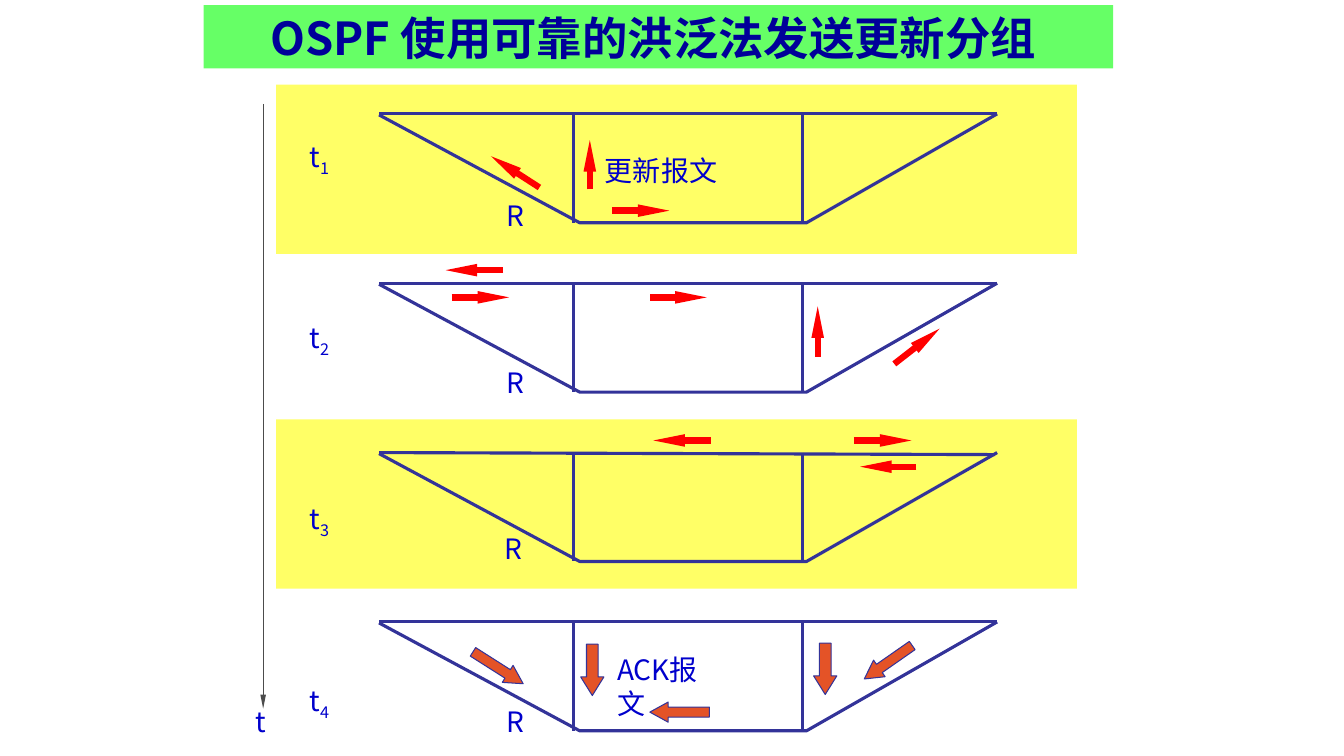
from lxml.etree import SubElement
from pptx import Presentation
from pptx.dml.color import RGBColor
from pptx.enum.shapes import MSO_CONNECTOR, MSO_SHAPE
from pptx.enum.text import MSO_ANCHOR, PP_ALIGN
from pptx.oxml.ns import qn
from pptx.util import Inches, Pt

COLORS = {"title": "000099", "title_band": "66FF66", "band": "FFFF66",
          "label": "0000CC", "link": "333399", "update": "FF0000",
          "ack": "E45327", "time": "4C4C4C"}
COLORS = {part: RGBColor.from_string(value) for part, value in COLORS.items()}
FONT = "Noto Sans CJK SC"

# Four network stages, one under another
FIRST_ROW, ROW_STEP, NET_HEIGHT = 1.13, 1.68, 1.08
LEFT, RIGHT = 3.76, 9.89
INNER_COLUMNS = (5.69, 7.96)

deck = Presentation()
deck.slide_width, deck.slide_height = Inches(13.33), Inches(7.5)
slide = deck.slides.add_slide(deck.slide_layouts[6])
shapes = slide.shapes


def add_text(text, x, y, width=0.4, height=0.34, size=20, color="label", bold=False,
             align=PP_ALIGN.LEFT, leading=1.22, wrap=False, sub="", fill=None):
    box = shapes.add_textbox(Inches(x), Inches(y), Inches(width), Inches(height))
    if fill:
        box.fill.solid()
        box.fill.fore_color.rgb = COLORS[fill]
    frame = box.text_frame
    frame.margin_left = frame.margin_right = frame.margin_top = frame.margin_bottom = 0
    frame.word_wrap = wrap
    frame.vertical_anchor = MSO_ANCHOR.MIDDLE if fill else MSO_ANCHOR.TOP
    paragraph = frame.paragraphs[0]
    paragraph.alignment = align
    paragraph.line_spacing = Pt(size * leading)
    for part in filter(None, (text, sub)):
        run = paragraph.add_run()
        run.text = part
        run.font.size, run.font.bold, run.font.name = Pt(size), bold, FONT
        run.font.color.rgb = COLORS[color]
        properties = run._r.get_or_add_rPr()
        SubElement(properties, qn("a:ea"), typeface=FONT)
        if part == sub:
            properties.set("baseline", "-25000")


def add_line(start, end, color="link", width=2.25, arrow=False):
    line = shapes.add_connector(MSO_CONNECTOR.STRAIGHT,
                                *(Inches(value) for value in (*start, *end)))
    line.line.color.rgb = COLORS[color]
    line.line.width = Pt(width)
    if arrow:
        SubElement(line.line._get_or_add_ln(), qn("a:tailEnd"),
                   type="triangle", w="sm", len="lg")
    SubElement(line._element.spPr, qn("a:effectLst"))


# Title
add_text("OSPF 使用可靠的洪泛法发送更新分组 ", 2.02, 0.05, width=9.02, height=0.63,
         size=32.4, color="title", bold=True, align=PP_ALIGN.CENTER,
         wrap=True, fill="title_band")

# Bands behind the first and third stages
for band_top in (0.84, 4.16):
    band = shapes.add_shape(MSO_SHAPE.RECTANGLE, Inches(2.74), Inches(band_top),
                            Inches(7.94), Inches(1.68))
    band.shadow.inherit = False
    band.fill.solid()
    band.fill.fore_color.rgb = COLORS["band"]
    band.line.fill.background()

# Networks with their router and time labels
router_spots = ((5.02, 1.96), (5.02, 3.62), (5, 5.27), (5.02, 6.98))
for stage, router_spot in enumerate(router_spots):
    top = FIRST_ROW + stage * ROW_STEP
    bottom = top + NET_HEIGHT
    top_end = (9.87, top + 0.02) if stage == 2 else (RIGHT, top)
    add_line((LEFT, top), top_end)
    corners = [(Inches(x), Inches(y)) for x, y in
               ((LEFT, top + 0.01), (5.75, bottom), (8, bottom), (RIGHT, top))]
    outline = shapes.build_freeform(*corners[0])
    outline.add_line_segments(corners[1:], close=False)
    hull = outline.convert_to_shape()
    hull.shadow.inherit = False
    hull.fill.background()
    hull.line.color.rgb = COLORS["link"]
    hull.line.width = Pt(2.25)
    for column in INNER_COLUMNS:
        add_line((column, top), (column, bottom))
    add_text("R", *router_spot)
    add_text("t", 3.07, 1.42 + stage * 1.8, sub=str(stage + 1))

# Update packets
updates = [
    ((6.07, 2.09), (6.64, 2.09)), ((5.35, 1.86), (4.87, 1.55)),
    ((5.85, 1.88), (5.85, 1.39)),
    ((8.87, 3.61), (9.32, 3.26)), ((8.11, 3.54), (8.11, 3.04)),
    ((4.99, 2.68), (4.42, 2.68)), ((6.45, 2.95), (7.01, 2.95)),
    ((4.48, 2.95), (5.05, 2.95)),
    ((7.05, 4.37), (6.48, 4.37)), ((8.47, 4.37), (9.04, 4.37)),
    ((9.09, 4.63), (8.53, 4.63)),
]
for sender, receiver in updates:
    add_line(sender, receiver, color="update", width=4.5, arrow=True)
add_text("更新报文", 6, 1.52, width=1.12)

# Acknowledgements: left, top, width, height, rotation, head share
acks = [
    (5.76, 6.39, 0.23, 0.51, 0, 0.8), (8.07, 6.38, 0.23, 0.51, 0, 0.8),
    (6.64, 6.77, 0.2, 0.59, 90, 0.91), (8.71, 6.28, 0.2, 0.58, 55.1, 0.91),
    (4.84, 6.33, 0.2, 0.59, 302.4, 0.91),
]
for *frame_sizes, rotation, head in acks:
    ack = shapes.add_shape(MSO_SHAPE.DOWN_ARROW, *(Inches(value) for value in frame_sizes))
    ack.rotation = rotation
    ack.adjustments[0], ack.adjustments[1] = 0.5, head
    ack.shadow.inherit = False
    ack.fill.solid()
    ack.fill.fore_color.rgb = COLORS["ack"]
    ack.line.color.rgb = COLORS["link"]
    ack.line.width = Pt(0.75)
add_text("ACK报文", 6.12, 6.47, width=1, height=0.68, wrap=True)

# Time axis
add_line((2.61, 1.03), (2.61, 7.03), color="time", width=0.75, arrow=True)
add_text("t", 2.53, 6.98)

deck.save("out.pptx")
